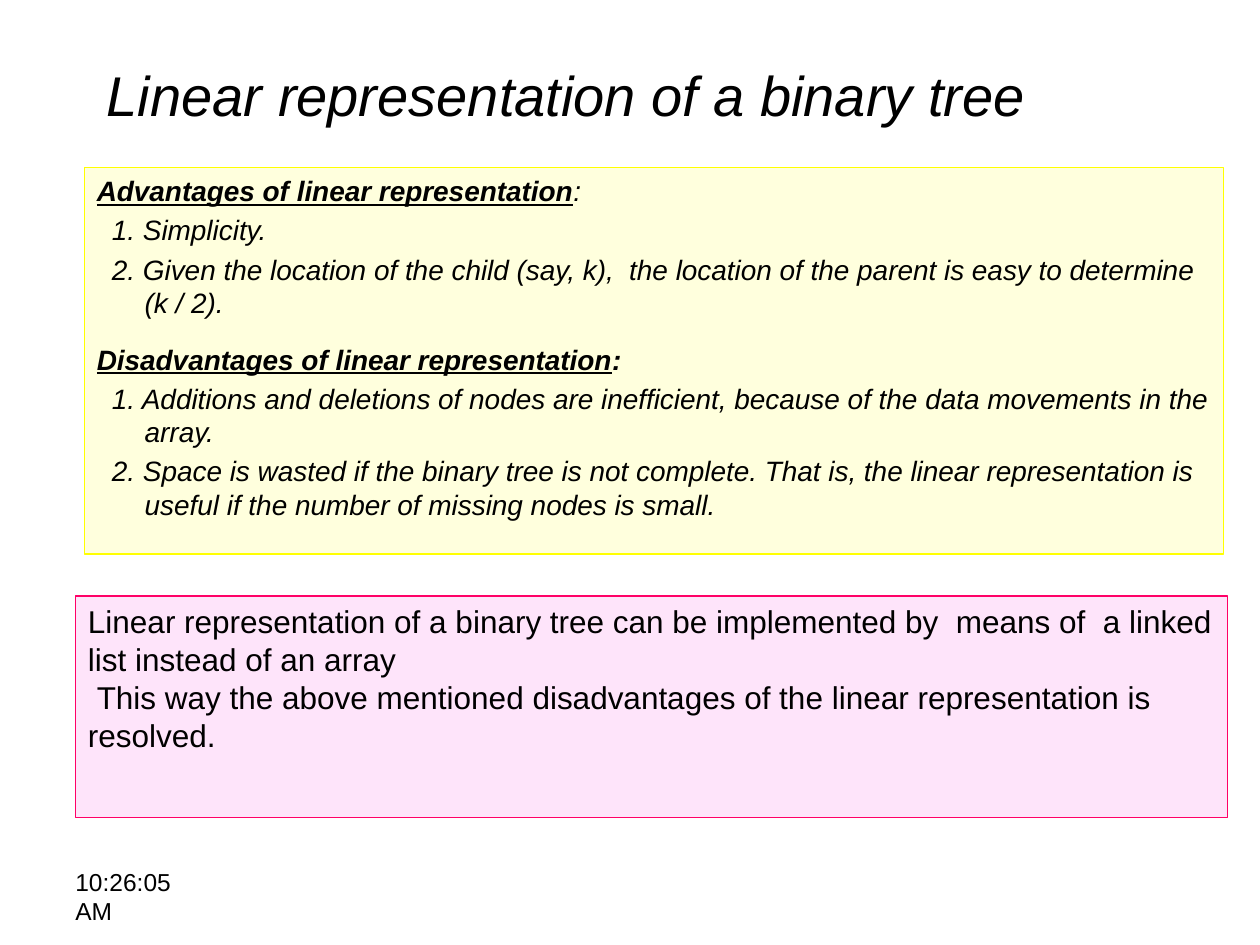
from dataclasses import dataclass, field

import pptx
import pptx.dml.color
import pptx.enum.shapes
import pptx.enum.text
import pptx.util

Inches = pptx.util.Inches
Pt = pptx.util.Pt
Anchor = pptx.enum.text.MSO_ANCHOR

HUES = {
    "ink": "000000",
    "cream": "FFFFDD",
    "yellow": "FFFF00",
    "pink": "FEE4FA",
    "rose": "FF0066",
}
HEAD = {"bold": True, "underline": True}


@dataclass
class Run:
    text: str
    form: dict = field(default_factory=dict)


@dataclass
class Para:
    runs: list[Run]
    left: float = 0
    first: float = 0
    gap: float = 0


@dataclass
class Box:
    area: tuple[float, float, float, float]
    paras: list[Para]
    form: dict
    anchor: Anchor = Anchor.TOP
    fill: str = ""
    edge: str = ""
    width: float = 0


def hue(name: str) -> pptx.dml.color.RGBColor:
    return pptx.dml.color.RGBColor.from_string(HUES[name])


def apply(item: object, form: dict) -> None:
    for name, value in form.items():
        setattr(item, name, value)


def item(text: str) -> Para:
    return Para([Run(text)], 0.38, -0.26, 3.2)


def write(frame, box: Box) -> None:
    apply(frame, {"word_wrap": True, "vertical_anchor": box.anchor})
    for spot, para in enumerate(box.paras):
        line = frame.paragraphs[0] if spot == 0 else frame.add_paragraph()
        apply(line, {
            "alignment": pptx.enum.text.PP_ALIGN.LEFT,
            "space_before": Pt(para.gap),
        })
        props = line._p.get_or_add_pPr()
        props.set("marL", str(Inches(para.left)))
        props.set("indent", str(Inches(para.first)))
        for part in para.runs:
            run = line.add_run()
            run.text = part.text
            apply(run.font, {"name": "Arial", **box.form, **part.form})
            run.font.color.rgb = hue("ink")


def draw(shapes, box: Box) -> None:
    area = [Inches(size) for size in box.area]
    if box.fill:
        shape = shapes.add_shape(pptx.enum.shapes.MSO_SHAPE.RECTANGLE, *area)
        shape.shadow.inherit = False
        shape.fill.solid()
        shape.fill.fore_color.rgb = hue(box.fill)
        shape.line.color.rgb = hue(box.edge)
        shape.line.width = Pt(box.width)
    else:
        shape = shapes.add_textbox(*area)
    write(shape.text_frame, box)


BOXES = [
    Box((0.5, 6.83, 1.26, 0.52), [Para([Run("10:26:05 AM")])],
        {"size": Pt(14)}),
    Box((0.75, 0.33, 8.5, 0.83),
        [Para([Run("Linear representation of a binary tree")])],
        {"size": Pt(32), "italic": True}, Anchor.MIDDLE),
    Box((0.67, 1.33, 9.04, 3.07), [
        Para([Run("Advantages of linear representation", HEAD), Run(":")],
             0.38, -0.38, 3.2),
        item("1. Simplicity."),
        item("2. Given the location of the child (say, k),  the location of "
             "the parent is easy to determine (k / 2)."),
        Para([Run("Disadvantages of linear representation", HEAD),
              Run(":", {"bold": True})], 0.38, -0.38, 13),
        item("1. Additions and deletions of nodes are inefficient, because "
             "of the data movements in the array."),
        item("2. Space is wasted if the binary tree is not complete. That "
             "is, the linear representation is useful if the number of "
             "missing nodes is small."),
    ], {"size": Pt(16), "italic": True}, Anchor.TOP, "cream", "yellow", 1),
    Box((0.6, 4.73, 9.14, 1.76), [
        Para([Run("Linear representation of a binary tree can be implemented "
                  "by  means of  a linked list instead of an array")]),
        Para([Run("This way the above mentioned disadvantages of the linear "
                  "representation is resolved.")], 0, 0.07),
    ], {"size": Pt(18)}, Anchor.TOP, "pink", "rose", 0.75),
]


def main() -> None:
    deck = pptx.Presentation()
    apply(deck, {"slide_width": Inches(10), "slide_height": Inches(7.5)})
    slide = deck.slides.add_slide(deck.slide_layouts[6])
    for box in BOXES:
        draw(slide.shapes, box)
    deck.save("out.pptx")


if __name__ == "__main__":
    main()
